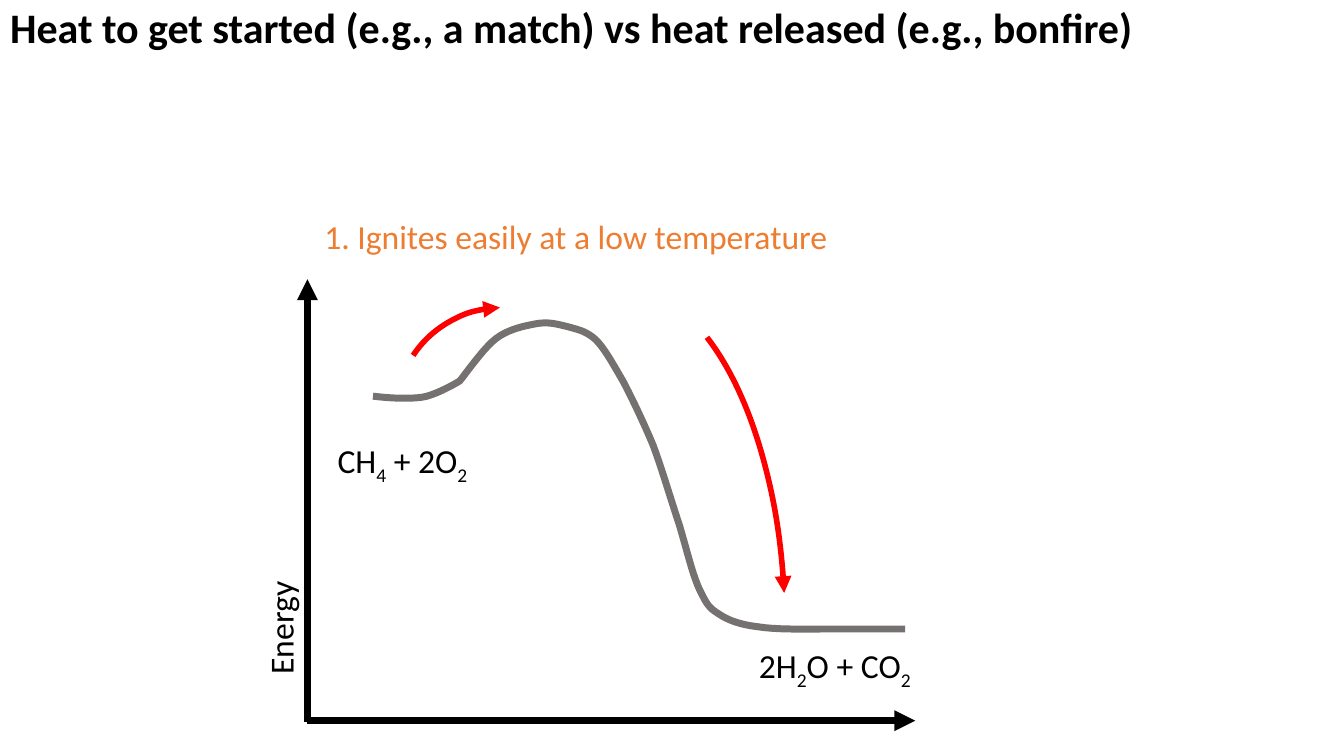
"""Build a slide with the energy curve of burning methane."""
from lxml import etree
from pptx import Presentation
from pptx.dml.color import RGBColor
from pptx.enum.shapes import MSO_CONNECTOR, MSO_SHAPE
from pptx.enum.text import MSO_ANCHOR, MSO_AUTO_SIZE, PP_ALIGN
from pptx.oxml.ns import qn
from pptx.util import Pt

STRAIGHT = MSO_CONNECTOR.STRAIGHT
ARC = MSO_SHAPE.ARC
MIDDLE, TOP = MSO_ANCHOR.MIDDLE, MSO_ANCHOR.TOP
NO_FIT, GROW = MSO_AUTO_SIZE.NONE, MSO_AUTO_SIZE.SHAPE_TO_FIT_TEXT
LEFT = PP_ALIGN.LEFT

BLACK = RGBColor(0x00, 0x00, 0x00)
GREY = RGBColor(0x76, 0x71, 0x71)
RED = RGBColor(0xFF, 0x00, 0x00)
ORANGE = RGBColor(0xED, 0x7D, 0x31)

TITLE_ONLY = 5
CURVE_STEPS = 10
CURVE_START = (266.4, 283)
CURVE_END = (646.6, 449.3)
CURVE_BENDS = [
    ((278.6, 284.4), (291.6, 285.1), (301.7, 283.7)),
    ((311.8, 282.2), (328.3, 272.2), (328.3, 272.2)),
    ((332.6, 267.1), (345.6, 248.4), (354.2, 241.9)),
    ((363.6, 234.7), (375.8, 232.6), (383.8, 231.1)),
    ((392.4, 229.7), (398.9, 231.8), (405.4, 233.3)),
    ((412.6, 235.4), (418.3, 236.2), (425.5, 242.6)),
    ((432, 249.1), (437.8, 259.9), (445, 272.2)),
    ((451.4, 284.4), (459.4, 301), (466.6, 318.2)),
    ((473, 335.5), (479.5, 357.8), (485.3, 375.1)),
    ((490.3, 391.7), (494.6, 410.4), (499.7, 421.2)),
    ((504.7, 431.3), (506.2, 434.2), (513.4, 438.5)),
    ((520.6, 443.5), (529.9, 446.4), (542.2, 447.8)),
    ((554.4, 450), (586.8, 449.3), (586.8, 449.3)),
]


def bezier(anchors, t):
    """Return the point at t on a cubic curve."""
    weights = ((1 - t) ** 3, 3 * t * (1 - t) ** 2, 3 * t * t * (1 - t), t ** 3)
    return tuple(sum(w * a[axis] for w, a in zip(weights, anchors)) for axis in (0, 1))


class EnergySlide:
    """Hold the text style and the slide being drawn."""

    font_name = "Calibri"
    label_size = 24
    title_size = 30

    def __init__(self, deck):
        """Add a title-only slide to the deck."""
        self.slide = deck.slides.add_slide(deck.slide_layouts[TITLE_ONLY])
        self.shapes = self.slide.shapes

    def style(self, run, size, color, bold=False):
        """Apply the slide font to a run."""
        run.font.name = self.font_name
        run.font.size = Pt(size)
        run.font.bold = bold
        run.font.color.rgb = color

    def title(self, text, width, height):
        """Fill the title placeholder across the top."""
        heading = self.shapes.title
        heading.left, heading.top = Pt(0), Pt(0)
        heading.width, heading.height = Pt(width), Pt(height)
        frame = heading.text_frame
        frame.text = text
        frame.word_wrap = True
        frame.auto_size = NO_FIT
        frame.vertical_anchor = MIDDLE
        line = frame.paragraphs[0]
        line.alignment = LEFT
        line.line_spacing = 0.9
        self.style(line.runs[0], self.title_size, BLACK, True)

    def label(self, parts, left, top, width, color=BLACK, rotation=0):
        """Write a label in which every second part is a subscript."""
        box = self.shapes.add_textbox(Pt(left), Pt(top), Pt(width), Pt(36))
        box.rotation = rotation
        frame = box.text_frame
        frame.word_wrap = True
        frame.auto_size = GROW
        frame.vertical_anchor = TOP
        for index, part in enumerate(parts):
            run = frame.paragraphs[0].add_run()
            run.text = part
            self.style(run, self.label_size, color)
            if index % 2:
                run.font._element.set("baseline", "-25000")

    def stroke(self, shape, color, width, arrow=True):
        """Set the outline and, if wanted, its arrowhead."""
        shape.line.color.rgb = color
        shape.line.width = Pt(width)
        if arrow:
            outline = shape.line._get_or_add_ln()
            etree.SubElement(outline, qn("a:tailEnd"), type="triangle")

    def axis(self, start, end):
        """Draw a straight axis with an arrowhead."""
        axis = self.shapes.add_connector(STRAIGHT, *map(Pt, start + end))
        self.stroke(axis, BLACK, 5)
        etree.SubElement(axis._element.spPr, qn("a:effectLst"))

    def curve(self, start, bends, end):
        """Draw the energy curve through its bends."""
        points = [start]
        for bend in bends:
            anchors = (points[-1],) + bend
            points += [bezier(anchors, step / CURVE_STEPS) for step in range(1, CURVE_STEPS + 1)]
        points.append(end)
        outline = [(Pt(x), Pt(y)) for x, y in points]
        builder = self.shapes.build_freeform(*outline[0])
        builder.add_line_segments(outline[1:], close=False)
        energy = builder.convert_to_shape()
        energy.shadow.inherit = False
        energy.fill.background()
        self.stroke(energy, GREY, 5, arrow=False)

    def arc_arrow(self, left, top, width, height, degrees):
        """Draw a red arc between two angles with an arrowhead."""
        arc = self.shapes.add_shape(ARC, Pt(left), Pt(top), Pt(width), Pt(height))
        for index, angle in enumerate(degrees):
            arc.adjustments[index] = angle * 0.6
        arc.shadow.inherit = False
        arc.fill.background()
        self.stroke(arc, RED, 4)


def main():
    """Draw the slide and save it."""
    deck = Presentation()
    deck.slide_width, deck.slide_height = Pt(960), Pt(540)
    page = EnergySlide(deck)
    page.title("Heat to get started (e.g., a match) vs heat released (e.g., bonfire)", 960, 42.5)
    page.axis((219.6, 515.5), (219.6, 199.4))
    page.label(["Energy"], 138.2, 409, 123.8, rotation=270)
    page.axis((219.6, 514.8), (653.8, 514.8))
    page.curve(CURVE_START, CURVE_BENDS, CURVE_END)
    page.label(["2H", "2", "O + CO", "2"], 535, 457.2, 175.7)
    page.arc_arrow(283.7, 219.6, 152.6, 144.7, (210.41, 267.74))
    page.arc_arrow(328.3, 205.2, 232.6, 492.5, (286.01, 346.44))
    page.label(["CH", "4", " + 2O", "2"], 234, 311, 152.6)
    page.label(["1. Ignites easily at a low temperature"], 224.6, 150.5, 486, ORANGE)
    deck.save("out.pptx")


if __name__ == "__main__":
    main()
